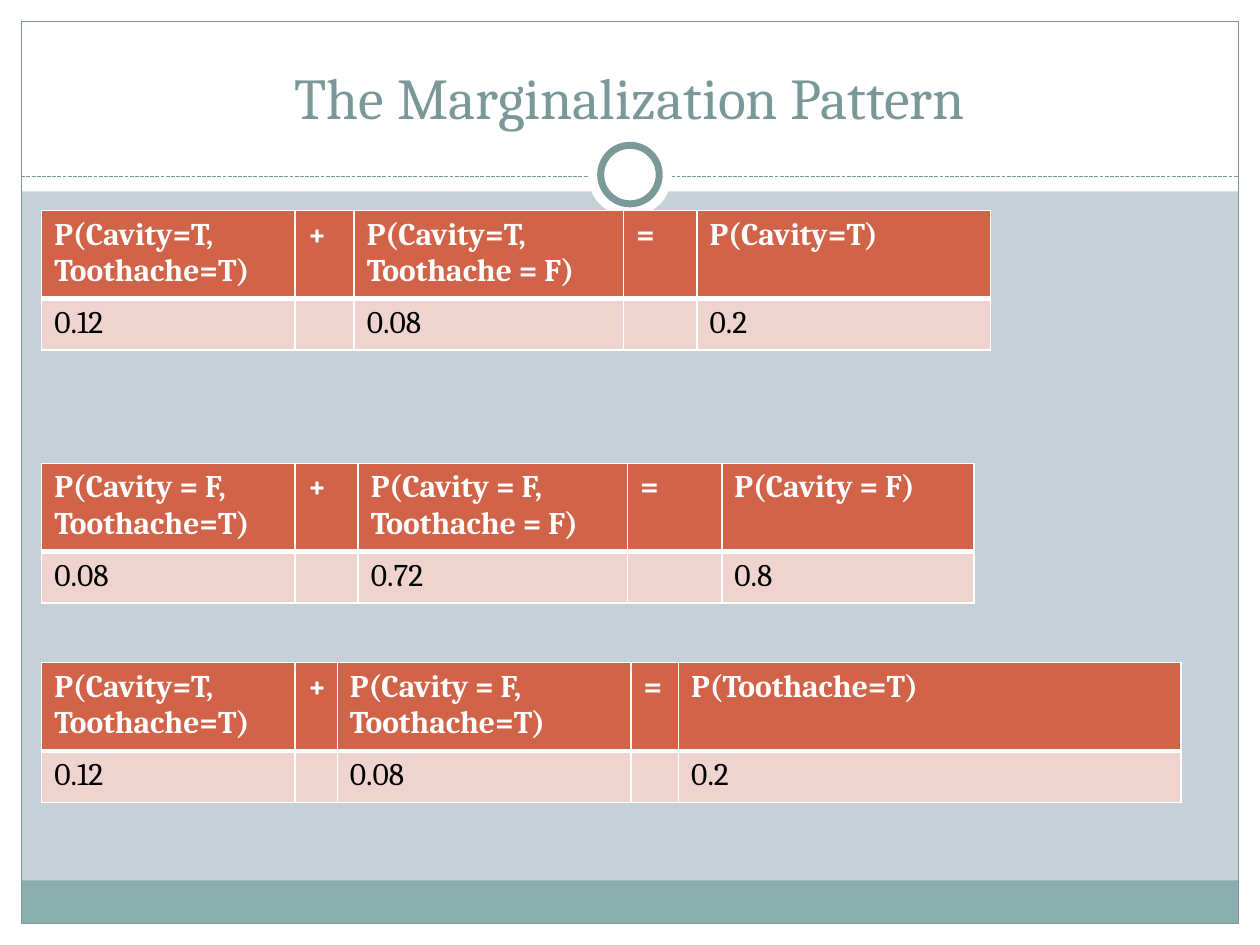
from lxml import etree
from pptx import Presentation
from pptx.dml.color import RGBColor
from pptx.enum.dml import MSO_LINE
from pptx.enum.shapes import MSO_CONNECTOR, MSO_SHAPE
from pptx.enum.text import MSO_ANCHOR, PP_ALIGN
from pptx.oxml.ns import qn
from pptx.util import Cm, Pt

RECTANGLE, OVAL = MSO_SHAPE.RECTANGLE, MSO_SHAPE.OVAL
FONT = "Cambria"
WHITE, BLACK = "FFFFFF", "000000"
BACKGROUND, FOOTER, FRAME, TITLE = "C5D1D7", "8CADAE", "7C999A", "7B9899"
HEADER, BODY = "D16349", "EED3CF"

WIDTH, HEIGHT = 25.4, 19.05
MARGIN = 0.43
RULE_TOP = 3.56
TABLE_LEFT = 0.84
ROW_HEIGHTS = (1.78, 1.04)

# Shape, left, top, width, height, fill, line colour, line width
DECORATIONS = [
    (RECTANGLE, 0, HEIGHT - MARGIN, WIDTH, MARGIN, WHITE, None, 0),
    (RECTANGLE, 0, 0, WIDTH, 3.86, WHITE, None, 0),
    (RECTANGLE, 0, 0, MARGIN, HEIGHT, WHITE, None, 0),
    (RECTANGLE, WIDTH - MARGIN, 0, MARGIN, HEIGHT, WHITE, None, 0),
    (RECTANGLE, MARGIN, 17.75, WIDTH - 2 * MARGIN, 0.87, FOOTER, None, 0),
    (RECTANGLE, MARGIN, MARGIN, WIDTH - 2 * MARGIN, HEIGHT - 2 * MARGIN, None, FRAME, 0.75),
]
RING = [
    (OVAL, 11.85, 2.67, 1.7, 1.7, WHITE, None, 0),
    (OVAL, 12.11, 2.93, 1.18, 1.18, WHITE, FRAME, 4),
]

# Top, column widths, header row, value row
TABLES = [
    (4.24, (5.11, 1.19, 5.43, 1.48, 5.92),
     ("P(Cavity=T,\nToothache=T)", "+", "P(Cavity=T,\nToothache = F)", "=", "P(Cavity=T)"),
     ("0.12", "", "0.08", "", "0.2")),
    (13.36, (5.11, 0.85, 5.92, 0.96, 10.13),
     ("P(Cavity=T,\nToothache=T)", "+", "P(Cavity = F, Toothache=T)", "=", "P(Toothache=T)"),
     ("0.12", "", "0.08", "", "0.2")),
    (9.34, (5.11, 1.27, 5.43, 1.9, 5.08),
     ("P(Cavity = F,\nToothache=T)", "+", "P(Cavity = F,\nToothache = F)", "=", "P(Cavity = F)"),
     ("0.08", "", "0.72", "", "0.8")),
]


def color(value):
    return RGBColor.from_string(value)


def add_decoration(slide, kind, left, top, width, height, fill, line, line_width):
    shape = slide.shapes.add_shape(kind, Cm(left), Cm(top), Cm(width), Cm(height))
    shape.shadow.inherit = False
    if fill:
        shape.fill.solid()
        shape.fill.fore_color.rgb = color(fill)
    else:
        shape.fill.background()
    if line:
        shape.line.color.rgb = color(line)
        shape.line.width = Pt(line_width)
    else:
        shape.line.fill.background()


def add_rule(slide):
    rule = slide.shapes.add_connector(
        MSO_CONNECTOR.STRAIGHT, Cm(MARGIN), Cm(RULE_TOP), Cm(WIDTH - MARGIN), Cm(RULE_TOP))
    rule.line.color.rgb = color(FRAME)
    rule.line.width = Pt(0.75)
    rule.line.dash_style = MSO_LINE.SQUARE_DOT
    etree.SubElement(rule.element.spPr, qn("a:effectLst"))


def set_borders(cell, top, bottom):
    """Give the cell white borders, one point wide at the sides."""
    properties = cell._tc.get_or_add_tcPr()
    borders = (("a:lnL", 1), ("a:lnR", 1), ("a:lnT", top), ("a:lnB", bottom))
    for index, (tag, width) in enumerate(borders):
        border = etree.Element(qn(tag), w=str(Pt(width)))
        fill = etree.SubElement(border, qn("a:solidFill"))
        etree.SubElement(fill, qn("a:srgbClr"), val=WHITE)
        properties.insert(index, border)


def add_sum_table(slide, top, widths, header, values):
    frame = slide.shapes.add_table(
        2, len(widths), Cm(TABLE_LEFT), Cm(top), Cm(sum(widths)), Cm(sum(ROW_HEIGHTS)))
    table = frame.table
    table.horz_banding = False
    for column, width in zip(table.columns, widths):
        column.width = Cm(width)
    styles = ((header, HEADER, WHITE, True, 1, 3), (values, BODY, BLACK, False, 3, 1))
    for row, height, style in zip(table.rows, ROW_HEIGHTS, styles):
        texts, fill, text_color, bold, above, below = style
        row.height = Cm(height)
        for cell, text in zip(row.cells, texts):
            cell.text = text
            cell.fill.solid()
            cell.fill.fore_color.rgb = color(fill)
            set_borders(cell, above, below)
            for paragraph in cell.text_frame.paragraphs:
                set_font(paragraph, 18, text_color, bold)


def set_font(paragraph, size, text_color, bold=False):
    font = paragraph.font
    font.name, font.size, font.bold = FONT, Pt(size), bold
    font.color.rgb = color(text_color)


def format_title(slide):
    title = slide.shapes.title
    title.left, title.top, title.width, title.height = Cm(0.85), Cm(0.64), Cm(23.7), Cm(2.12)
    title.text_frame.text = "The Marginalization Pattern"
    title.text_frame.vertical_anchor = MSO_ANCHOR.BOTTOM
    paragraph = title.text_frame.paragraphs[0]
    paragraph.alignment = PP_ALIGN.CENTER
    set_font(paragraph, 33, TITLE)
    # Bring the title in front of the white band
    title.element.getparent().append(title.element)


def main():
    presentation = Presentation()
    presentation.slide_width, presentation.slide_height = Cm(WIDTH), Cm(HEIGHT)
    slide = presentation.slides.add_slide(presentation.slide_layouts[5])
    slide.background.fill.solid()
    slide.background.fill.fore_color.rgb = color(BACKGROUND)
    for decoration in DECORATIONS:
        add_decoration(slide, *decoration)
    add_rule(slide)
    for circle in RING:
        add_decoration(slide, *circle)
    format_title(slide)
    for table in TABLES:
        add_sum_table(slide, *table)
    presentation.save("out.pptx")


if __name__ == "__main__":
    main()
